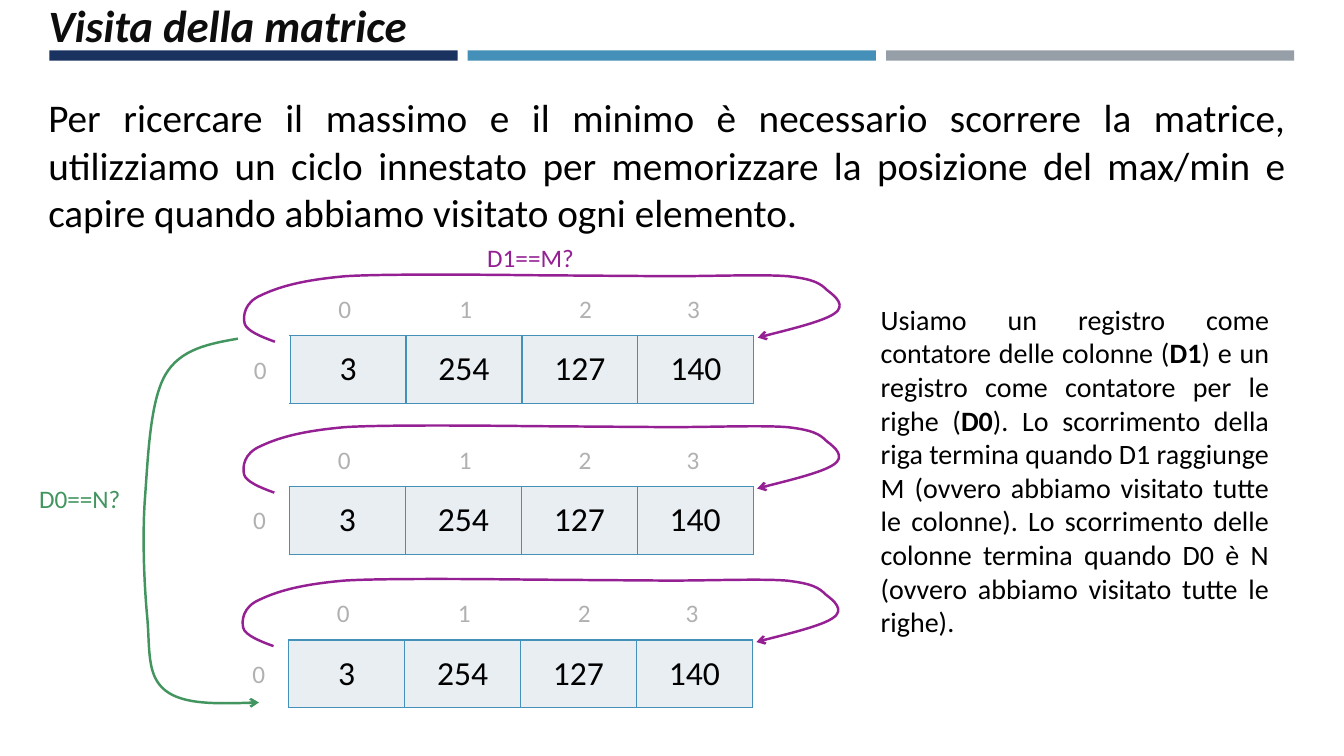
from lxml.etree import SubElement
from pptx import Presentation
from pptx.dml.color import RGBColor
from pptx.enum.shapes import MSO_SHAPE as Shape
from pptx.enum.text import MSO_ANCHOR as Anchor, PP_ALIGN as Align
from pptx.oxml.ns import qn
from pptx.util import Pt

FONT = "Calibri"
BLACK = RGBColor(0x00, 0x00, 0x00)
INK = RGBColor(0x0D, 0x0D, 0x0D)
NAVY = RGBColor(0x1A, 0x32, 0x60)
BLUE = RGBColor(0x45, 0x90, 0xB8)
GREY = RGBColor(0x96, 0x9F, 0xA7)
INDEX_GREY = RGBColor(0xB1, 0xB1, 0xB1)
CELL_FILL = RGBColor(0xE9, 0xEE, 0xF3)
PURPLE = RGBColor(0x94, 0x20, 0x93)
GREEN = RGBColor(0x42, 0x95, 0x5F)

VALUES = ["3", "254", "127", "140"]
ROW_CORNERS = [(207.2, 239.8), (206.8, 347.6), (206.2, 457.2)]
INDEX_OFFSETS = [27.4, 113.8, 199.4, 276.5]
CELL_WIDTH, CELL_HEIGHT = 82.8, 48.2

COLUMN_LOOP = [
    (-10.8, 4.3),
    (-20.9, 0.7), (-31, -3.6), (-32.4, -8.6),
    (-33.8, -14.4), (-32.4, -23.8), (-20.9, -28.8),
    (-8.6, -34.6), (7.2, -39.6), (39.6, -42.5),
    (71.3, -44.6), (172.1, -43.2), (172.1, -43.2),
    (172.1, -43.2), (271.4, -42.5), (271.4, -42.5),
    (301.7, -42.5), (337, -43.9), (355.7, -42.5),
    (374.4, -40.3), (378.7, -37.4), (383.8, -32.4),
    (389.5, -28.1), (397.4, -21.6), (388.8, -15.8),
    (380.9, -10.1), (344.2, -1.4), (334.1, 1.4),
]
ROW_LOOP = [
    (169.9, 241.9),
    (149.8, 245.5), (128.9, 249.1), (118.1, 267.8),
    (107.3, 286.6), (105.8, 325.4), (103.7, 354.2),
    (101.5, 382.3), (103, 416.9), (105.1, 439.9),
    (107.3, 463), (104.4, 482.4), (118.1, 493.2),
    (131, 503.3), (158.4, 502.6), (185, 501.8),
]

INTRO = (
    "Per ricercare il massimo e il minimo è necessario scorrere la matrice, "
    "utilizziamo un ciclo innestato per memorizzare la posizione del max/min "
    "e capire quando abbiamo visitato ogni elemento."
)
EXPLANATION = [
    ("Usiamo un registro come contatore delle colonne (", False),
    ("D1", True),
    (") e un registro come contatore per le righe (", False),
    ("D0", True),
    ("). Lo scorrimento della riga termina quando D1 raggiunge M (ovvero "
     "abbiamo visitato tutte le colonne). Lo scorrimento delle colonne "
     "termina quando D0 è N (ovvero abbiamo visitato tutte le righe).", False),
]


def write(p, text, size=18, color=BLACK, bold=False, italic=False, align=Align.LEFT):
    p.alignment = align
    r = p.add_run()
    r.text = text
    r.font.name = FONT
    r.font.size = Pt(size)
    r.font.color.rgb = color
    r.font.bold = bold
    r.font.italic = italic


def add_text_box(s, x, y, w, h):
    tf = s.shapes.add_textbox(Pt(x), Pt(y), Pt(w), Pt(h)).text_frame
    tf.word_wrap = True
    return tf.paragraphs[0]


def add_bar(s, x, color):
    sp = s.shapes.add_shape(Shape.RECTANGLE, Pt(x), Pt(36), Pt(291.6), Pt(7.4))
    sp.shadow.inherit = False
    sp.fill.solid()
    sp.fill.fore_color.rgb = color
    sp.line.fill.background()


def add_curved_arrow(s, points, color, dx=0, dy=0):
    start, *rest = [(Pt(x + dx), Pt(y + dy)) for x, y in points]
    builder = s.shapes.build_freeform(*start, scale=1.0)
    builder.add_line_segments(rest, close=False)
    sp = builder.convert_to_shape()
    sp.shadow.inherit = False
    sp.fill.background()
    sp.line.color.rgb = color
    sp.line.width = Pt(1.75)
    SubElement(sp.line._get_or_add_ln(), qn("a:tailEnd"), type="arrow")
    segments = list(sp._element.iter(qn("a:lnTo")))
    outline = segments[0].getparent()
    for i in range(0, len(segments), 3):
        curve = SubElement(outline, qn("a:cubicBezTo"))
        for segment in segments[i:i + 3]:
            curve.append(segment[0])
            outline.remove(segment)


def style_cell(cell, text):
    cell.margin_left = cell.margin_right = Pt(12)
    cell.margin_top = cell.margin_bottom = Pt(6)
    cell.vertical_anchor = Anchor.MIDDLE
    write(cell.text_frame.paragraphs[0], text, size=24, align=Align.CENTER)
    props = cell._tc.get_or_add_tcPr()
    for side in ("lnL", "lnR", "lnT", "lnB"):
        border = SubElement(props, qn(f"a:{side}"), w=str(Pt(1)))
        fill = SubElement(border, qn("a:solidFill"))
        SubElement(fill, qn("a:srgbClr"), val=str(BLUE))
    cell.fill.solid()
    cell.fill.fore_color.rgb = CELL_FILL


def add_value_table(s, x, y):
    width = CELL_WIDTH * len(VALUES)
    table = s.shapes.add_table(
        1, len(VALUES), Pt(x), Pt(y), Pt(width), Pt(CELL_HEIGHT)).table
    table.first_row = table.horz_banding = False
    for column, cell, value in zip(table.columns, table.rows[0].cells, VALUES):
        column.width = Pt(CELL_WIDTH)
        style_cell(cell, value)


def add_index(s, x, y, index):
    write(add_text_box(s, x, y, 24, 29), str(index), color=INDEX_GREY)


def add_matrix_row(s, x, y):
    add_value_table(s, x, y)
    for index, offset in enumerate(INDEX_OFFSETS):
        add_index(s, x + offset, y - 34, index)
    add_index(s, x - 33, y + 9.4, 0)
    add_curved_arrow(s, COLUMN_LOOP, PURPLE, x, y)


def main():
    prs = Presentation()
    prs.slide_width, prs.slide_height = Pt(960), Pt(540)
    s = prs.slides.add_slide(prs.slide_layouts[6])

    for i, color in enumerate((NAVY, BLUE, GREY)):
        add_bar(s, 35.3 + 298.8 * i, color)
    write(add_text_box(s, 27.4, -5, 556, 46), "Visita della matrice",
          size=32, color=INK, bold=True, italic=True)
    write(add_text_box(s, 27.4, 63.4, 897.8, 143), INTRO,
          size=28, align=Align.JUSTIFY)

    for x, y in ROW_CORNERS:
        add_matrix_row(s, x, y)
    add_curved_arrow(s, ROW_LOOP, GREEN)

    write(add_text_box(s, 314, 169.2, 130, 29), "D1==M?",
          color=PURPLE, align=Align.CENTER)
    write(add_text_box(s, -8, 342, 130, 29), "D0==N?",
          color=GREEN, align=Align.CENTER)

    p = add_text_box(s, 622, 212.4, 291.6, 283.7)
    for text, bold in EXPLANATION:
        write(p, text, size=20, bold=bold, align=Align.JUSTIFY)

    prs.save("out.pptx")


if __name__ == "__main__":
    main()
